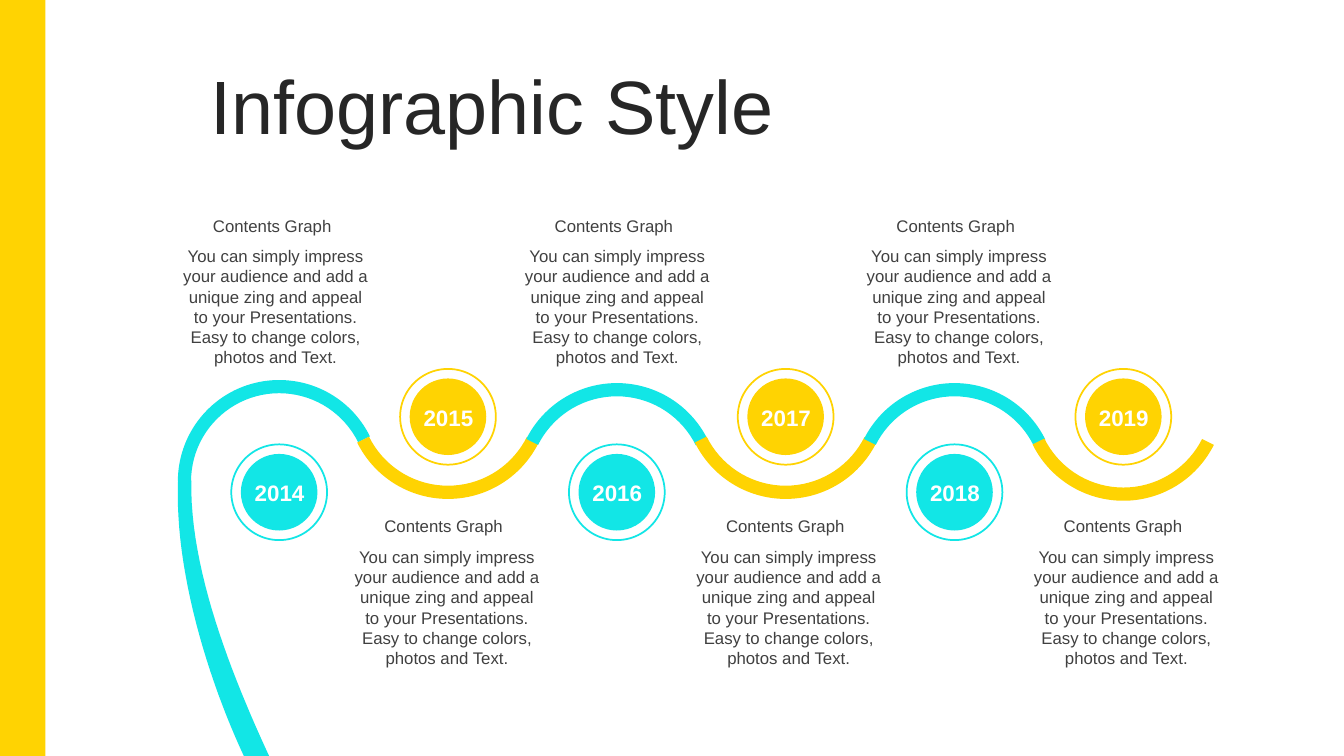
from pptx import Presentation
from pptx.dml.color import RGBColor
from pptx.enum.shapes import MSO_SHAPE as Preset
from pptx.enum.text import MSO_ANCHOR as Anchor, MSO_AUTO_SIZE as AutoSize, PP_ALIGN as Align
from pptx.util import Pt

YELLOW, CYAN, INK, GREY, WHITE = "FFD302", "12E6E6", "262626", "404040", "FFFFFF"
WIDTH, HEIGHT = 960, 540
FIRST_CENTER, STEP = 199.4, 120.6
RING, DISC, ARC = 68.4, 54.7, 144.7
LABEL_WIDTH = 147.6
HEADING = "Contents Graph"
DESCRIPTION = ("You can simply impress your audience and add a unique zing and appeal "
               "to your Presentations. Easy to change colors, photos and Text.")
# year, left edge of its description, height of its arc's center
MILESTONES = [("2014", 123.1, 343.8), ("2015", 245.5, 284), ("2016", 367.2, 346),
              ("2017", 489.6, 284), ("2018", 611.3, 346), ("2019", 730.8, 285.3)]


def color(hex_code):
    return RGBColor.from_string(hex_code)


def write(frame, text, size=12, ink=GREY, bold=False, align=Align.CENTER,
          anchor=Anchor.TOP, inset=None, spacing=None):
    frame.word_wrap = True
    frame.auto_size = AutoSize.NONE
    frame.vertical_anchor = anchor
    if inset is not None:
        frame.margin_left = frame.margin_right = Pt(inset)
        frame.margin_top = frame.margin_bottom = Pt(inset)
    paragraph = frame.paragraphs[0]
    paragraph.text = text
    paragraph.alignment = align
    paragraph.line_spacing = spacing
    font = paragraph.font
    font.name, font.size, font.bold = "Arial", Pt(size), bold
    font.color.rgb = color(ink)


def bezier(start, control_1, control_2, end, steps=24):
    """Points along a cubic curve, without its start."""
    curve = []
    for step in range(1, steps + 1):
        t = step / steps
        weights = ((1 - t) ** 3, 3 * t * (1 - t) ** 2, 3 * t * t * (1 - t), t ** 3)
        corners = (start, control_1, control_2, end)
        curve.append(tuple(sum(w * c[axis] for w, c in zip(weights, corners))
                           for axis in (0, 1)))
    return curve


class Timeline:
    def __init__(self, slide):
        self.slide = slide

    def title(self, text):
        title = self.slide.shapes.title
        title.left, title.top, title.width, title.height = Pt(143.3), Pt(50.4), Pt(787), Pt(56.9)
        write(title.text_frame, text, size=54, ink=INK, align=Align.LEFT,
              anchor=Anchor.MIDDLE, spacing=0.9)

    def paint(self, shape, fill=None, line=None):
        shape.shadow.inherit = False
        if fill:
            shape.fill.solid()
            shape.fill.fore_color.rgb = color(fill)
        else:
            shape.fill.background()
        if line:
            shape.line.color.rgb = color(line)
            shape.line.width = Pt(1.25)
        else:
            shape.line.fill.background()

    def shape(self, preset, left, top, width, height, **style):
        shape = self.slide.shapes.add_shape(preset, Pt(left), Pt(top), Pt(width), Pt(height))
        self.paint(shape, **style)
        return shape

    def circle(self, x, y, size, **style):
        self.shape(Preset.OVAL, x - size / 2, y - size / 2, size, size, **style)

    def arc(self, x, y, fill, start, flipped):
        arc = self.shape(Preset.BLOCK_ARC, x - ARC / 2, y - ARC / 2, ARC, ARC, fill=fill)
        for index, value in enumerate((start, 200.21, 0.065)):
            arc.adjustments[index] = value
        arc.rotation = 180 if flipped else 0

    def text(self, text, left, top, width, height, **style):
        box = self.slide.shapes.add_textbox(Pt(left), Pt(top), Pt(width), Pt(height))
        write(box.text_frame, text, **style)

    def outline(self, points, fill):
        corners = [(Pt(x), Pt(y)) for x, y in points]
        builder = self.slide.shapes.build_freeform(*corners[0], scale=1.0)
        builder.add_line_segments(corners[1:], close=True)
        self.paint(builder.convert_to_shape(), fill=fill)

    def milestone(self, index, year, label_left, arc_y):
        below = index % 2 == 1
        accent = YELLOW if below else CYAN
        x = FIRST_CENTER + index * STEP
        y = 297.7 if below else 351.6
        label_top = 365.2 if below else 150.4
        self.arc(x, arc_y, accent, start=123.99 if index else 108, flipped=below)
        self.circle(x, y, RING, line=accent)
        self.circle(x, y, DISC, fill=accent)
        self.text(year, x - 31, y - 17.6, 62.6, 36, size=16, ink=WHITE, bold=True,
                  anchor=Anchor.MIDDLE, inset=0)
        self.text(HEADING, label_left - 2.4, label_top, LABEL_WIDTH, 21.6)
        self.text(DESCRIPTION, label_left, label_top + 21.8, LABEL_WIDTH, 94.3)

    def stem(self):
        outer, inner = (127.2, 343.4), (136.7, 343.4)
        inner_foot, outer_foot = (192.2, HEIGHT), (174.2, HEIGHT)
        self.outline([outer, inner,
                      *bezier(inner, (135.4, 406.8), (165.6, 482.4), inner_foot),
                      outer_foot,
                      *bezier(outer_foot, (149, 486), (124.6, 408.2), outer)], CYAN)


def main():
    deck = Presentation()
    deck.slide_width, deck.slide_height = Pt(WIDTH), Pt(HEIGHT)
    timeline = Timeline(deck.slides.add_slide(deck.slide_layouts[5]))
    timeline.shape(Preset.RECTANGLE, 0, 0, 32.4, HEIGHT, fill=YELLOW)
    timeline.title("Infographic Style")
    for index, (year, label_left, arc_y) in enumerate(MILESTONES):
        timeline.milestone(index, year, label_left, arc_y)
    timeline.stem()
    deck.save("out.pptx")


if __name__ == "__main__":
    main()
